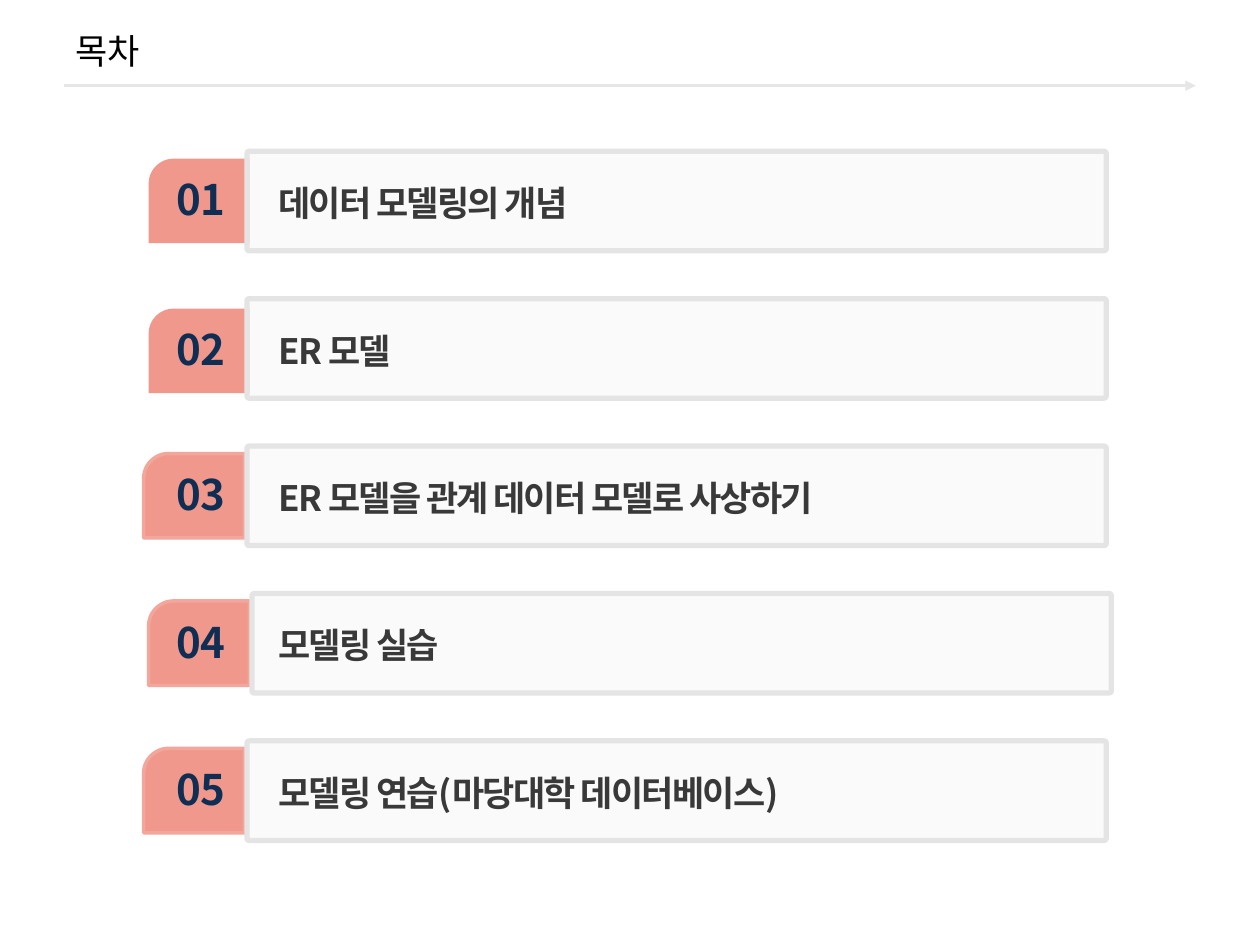
from dataclasses import dataclass

from lxml import etree
from pptx import Presentation
from pptx.dml.color import RGBColor
from pptx.enum.shapes import MSO_CONNECTOR, MSO_SHAPE
from pptx.enum.text import MSO_ANCHOR, MSO_AUTO_SIZE, PP_ALIGN
from pptx.oxml.ns import qn
from pptx.util import Inches, Pt

FONT = "Noto Sans CJK KR"
ROW_TOP, ROW_PITCH = 1.2, 1.17


@dataclass
class Row:
    title: str
    tab_left: float = 1.14
    tab_drop: float = 0.06
    outlined: bool = True
    bar_left: float = 1.96


ROWS = [
    Row("데이터 모델링의 개념", tab_left=1.18, outlined=False),
    Row("ER 모델", tab_left=1.18, tab_drop=0.08, outlined=False),
    Row("ER 모델을 관계 데이터 모델로 사상하기"),
    Row("모델링 실습", tab_left=1.18, bar_left=2),
    Row("모델링 연습(마당대학 데이터베이스)"),
]


def rgb(color: str) -> RGBColor:
    return RGBColor.from_string(color)


def write(tf, text: str, *, size: float, color: str, bold=False,
          align=PP_ALIGN.LEFT, spacing=None, line_spacing=None, after=None) -> None:
    p = tf.paragraphs[0]
    p.alignment = align
    p.line_spacing = line_spacing
    p.space_before = Pt(0)
    if after is not None:
        p.space_after = Pt(after)
    r = p.add_run()
    r.text = text
    r.font.size = Pt(size)
    r.font.bold = bold
    r.font.name = FONT
    r.font.color.rgb = rgb(color)
    rPr = r.font._element
    etree.SubElement(rPr, qn("a:ea")).set("typeface", FONT)
    if spacing is not None:
        rPr.set("spc", str(int(spacing * 100)))


def add_box(shapes, kind, left: float, top: float, width: float, height: float,
            *, fill: str, adjustments, line=None, line_width=0.0, opacity=None):
    sp = shapes.add_shape(kind, Inches(left), Inches(top), Inches(width), Inches(height))
    sp.shadow.inherit = False
    for i, value in enumerate(adjustments):
        sp.adjustments[i] = value
    sp.fill.solid()
    sp.fill.fore_color.rgb = rgb(fill)
    if opacity is not None:
        srgb = sp._element.spPr.find(".//" + qn("a:srgbClr"))
        etree.SubElement(srgb, qn("a:alpha")).set("val", str(opacity * 1000))
    if line:
        sp.line.color.rgb = rgb(line)
        sp.line.width = Pt(line_width)
    else:
        sp.line.fill.background()
    return sp


def add_text(shapes, left: float, top: float, width: float, height: float,
             text: str, *, wrap: bool, **fmt) -> None:
    sp = shapes.add_textbox(Inches(left), Inches(top), Inches(width), Inches(height))
    tf = sp.text_frame
    tf.word_wrap = wrap
    tf.auto_size = MSO_AUTO_SIZE.SHAPE_TO_FIT_TEXT
    write(tf, text, **fmt)


def add_row(s, index: int, row: Row) -> None:
    shapes = s.shapes.add_group_shape().shapes
    top = ROW_TOP + index * ROW_PITCH
    add_box(shapes, MSO_SHAPE.SNIP_ROUND_RECTANGLE, row.tab_left, top + row.tab_drop,
            0.8, 0.67, fill="F0988C", adjustments=(0.296, 0),
            line="F2A69C" if row.outlined else None, line_width=2)
    add_text(shapes, 1.3, top + row.tab_drop + 0.07, 0.59, 0.5, f"{index + 1:02d}",
             wrap=False, size=24, color="0F2E53", bold=True, align=PP_ALIGN.CENTER)
    add_box(shapes, MSO_SHAPE.ROUNDED_RECTANGLE, row.bar_left, top, 6.82, 0.79,
            fill="F2F2F2", opacity=33, adjustments=(0.023,), line="E4E4E4", line_width=3)
    add_text(shapes, 2.11, top + 0.16, 5.28, 0.44, row.title, wrap=True, size=20,
             color="393939", bold=True, spacing=-1, line_spacing=1.1, after=3)


def add_title(s, text: str) -> None:
    sp = s.shapes.title
    sp.left, sp.top, sp.width, sp.height = (Inches(v) for v in (0.5, 0.08, 9, 0.64))
    sp.text_frame.vertical_anchor = MSO_ANCHOR.MIDDLE
    write(sp.text_frame, text, size=20, color="000000")


def add_rule(s) -> None:
    cx = s.shapes.add_connector(MSO_CONNECTOR.STRAIGHT, Inches(0.51), Inches(0.68),
                                Inches(9.49), Inches(0.68))
    cx.line.color.rgb = rgb("E6E6E6")
    cx.line.width = Pt(1.5)
    etree.SubElement(cx.line._get_or_add_ln(), qn("a:tailEnd")).set("type", "triangle")
    etree.SubElement(cx._element.spPr, qn("a:effectLst"))


def main() -> None:
    prs = Presentation()
    prs.slide_width, prs.slide_height = Inches(10), Inches(7.5)
    s = prs.slides.add_slide(prs.slide_layouts[5])
    add_rule(s)
    add_title(s, "목차")
    for index, row in enumerate(ROWS):
        add_row(s, index, row)
    prs.save("out.pptx")


if __name__ == "__main__":
    main()
